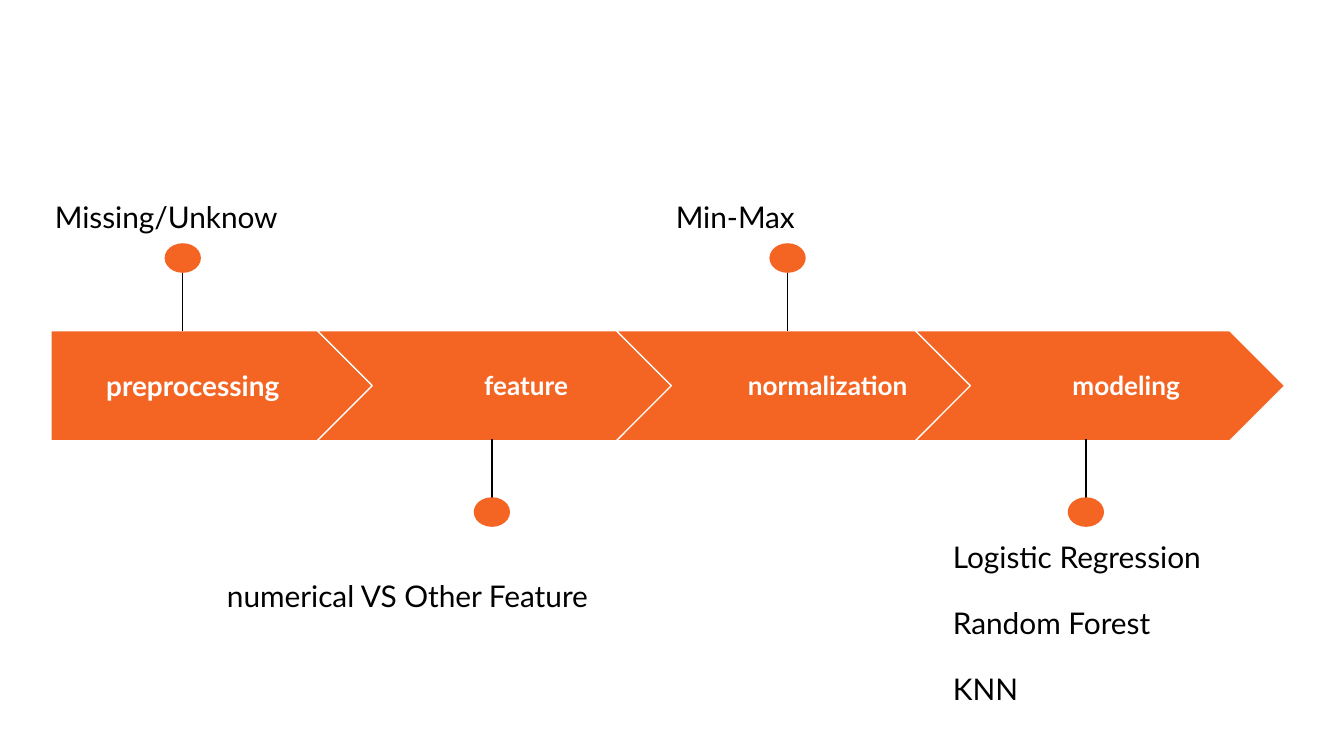
from dataclasses import dataclass

import pptx
import pptx.dml.color
import pptx.enum.shapes
import pptx.enum.text
import pptx.oxml.ns
import pptx.util
from lxml import etree

Inches = pptx.util.Inches
Pt = pptx.util.Pt
RGB = pptx.dml.color.RGBColor
Shape = pptx.enum.shapes.MSO_SHAPE
Align = pptx.enum.text.PP_ALIGN
Anchor = pptx.enum.text.MSO_ANCHOR


@dataclass(frozen=True)
class Theme:
    accent: RGB = RGB(0xF4, 0x65, 0x24)
    light: RGB = RGB(0xFF, 0xFF, 0xFF)
    dark: RGB = RGB(0, 0, 0)
    font: str = "Lato"
    note_size: int = 16
    line_width: float = 0.75


@dataclass(frozen=True)
class Step:
    name: str
    name_size: int
    name_left: float
    name_width: float
    pin_x: float
    pin_above: bool
    notes: tuple[str, ...]
    note_left: float
    note_top: float
    note_spacing: float = 1.15


THEME = Theme()
SLIDE_WIDTH = 10
SLIDE_HEIGHT = SLIDE_WIDTH * 9 / 16
BAND_TOP, BAND_HEIGHT = 2.46, 0.82
UPPER_STEM_END, LOWER_STEM_END = 2.46, 3.27
FIRST_LEFT, FIRST_WIDTH = 0.38, 2.51
CHEVRON_LEFT, CHEVRON_WIDTH = 2.36, 2.75
CHEVRON_PITCH = (6.81 - CHEVRON_LEFT) / 2
NAME_TOP, NAME_HEIGHT = 2.61, 0.51
NOTE_WIDTH, NOTE_HEIGHT = 3.01, 0.99
DOT_WIDTH, DOT_HEIGHT = 0.27, 0.22
UPPER_DOT_TOP, LOWER_DOT_TOP = 1.81, 3.7

STEPS = (
    Step("preprocessing", 15, 0.38, 2.11, 1.36, True,
         ("Missing/Unknow",), 0.31, 1.34),
    Step("feature", 14, 2.78, 2.27, 3.66, False,
         ("numerical VS Other Feature",), 1.59, 4.16),
    Step("normalization", 14, 4.98, 2.36, 5.86, True,
         ("Min-Max",), 4.93, 1.34),
    Step("modeling", 14, 7.2, 2.36, 8.08, False,
         ("Logistic Regression", "Random Forest", "KNN"), 6.99, 3.91, 1.0),
)


def apply(target, formats: dict) -> None:
    for attribute, value in formats.items():
        setattr(target, attribute, value)


def write(frame, lines: tuple[str, ...], size: int, color: RGB,
          bold: bool, anchor, paragraph_format: dict) -> None:
    inset = Inches(0.1)
    apply(frame, {
        "word_wrap": True, "auto_size": pptx.enum.text.MSO_AUTO_SIZE.NONE,
        "vertical_anchor": anchor, "margin_left": inset,
        "margin_right": inset, "margin_top": inset, "margin_bottom": inset,
    })
    for index, line in enumerate(lines):
        paragraph = frame.paragraphs[0] if index == 0 else frame.add_paragraph()
        apply(paragraph, paragraph_format)
        paragraph.space_before = Pt(THEME.note_size if index else 0)
        run = paragraph.add_run()
        run.text = line
        apply(run.font, {"name": THEME.font, "size": Pt(size), "bold": bold})
        run.font.color.rgb = color


def draw_arrow(slide, index: int) -> None:
    if index == 0:
        kind, left, width = Shape.PENTAGON, FIRST_LEFT, FIRST_WIDTH
    else:
        kind, width = Shape.CHEVRON, CHEVRON_WIDTH
        left = CHEVRON_LEFT + (index - 1) * CHEVRON_PITCH
    arrow = slide.shapes.add_shape(
        kind, Inches(left), Inches(BAND_TOP), Inches(width), Inches(BAND_HEIGHT))
    arrow.shadow.inherit = False
    arrow.fill.solid()
    arrow.fill.fore_color.rgb = THEME.accent
    arrow.line.color.rgb = THEME.light
    arrow.line.width = Pt(THEME.line_width)


def draw_name(slide, step: Step) -> None:
    name = slide.shapes.add_textbox(
        Inches(step.name_left), Inches(NAME_TOP),
        Inches(step.name_width), Inches(NAME_HEIGHT))
    write(name.text_frame, (step.name,), step.name_size, THEME.light, True,
          Anchor.MIDDLE, {"alignment": Align.CENTER})


def draw_pin(slide, step: Step) -> None:
    if step.pin_above:
        dot_top, stem_end = UPPER_DOT_TOP, UPPER_STEM_END
        stem_start = dot_top + 0.04
    else:
        dot_top, stem_end = LOWER_DOT_TOP, LOWER_STEM_END
        stem_start = dot_top + DOT_HEIGHT - 0.05
    stem = slide.shapes.add_connector(
        pptx.enum.shapes.MSO_CONNECTOR.STRAIGHT,
        Inches(step.pin_x), Inches(stem_start),
        Inches(step.pin_x), Inches(stem_end))
    stem.line.color.rgb = THEME.dark
    stem.line.width = Pt(THEME.line_width)
    etree.SubElement(stem._element.spPr, pptx.oxml.ns.qn("a:effectLst"))

    dot = slide.shapes.add_shape(
        Shape.OVAL, Inches(step.pin_x - DOT_WIDTH / 2), Inches(dot_top),
        Inches(DOT_WIDTH), Inches(DOT_HEIGHT))
    dot.shadow.inherit = False
    dot.fill.solid()
    dot.fill.fore_color.rgb = THEME.accent
    dot.line.fill.background()


def draw_notes(slide, step: Step, list_body) -> None:
    box = (Inches(step.note_left), Inches(step.note_top),
           Inches(NOTE_WIDTH), Inches(NOTE_HEIGHT))
    is_list = len(step.notes) > 1
    if is_list:
        note = list_body
        apply(note, dict(zip(("left", "top", "width", "height"), box)))
    else:
        note = slide.shapes.add_textbox(*box)
    write(note.text_frame, step.notes, THEME.note_size, THEME.dark, False,
          Anchor.TOP, {"alignment": Align.LEFT, "line_spacing": step.note_spacing})
    if is_list:
        # The list shows no bullets and no hanging indent
        for paragraph in note.text_frame.paragraphs:
            properties = paragraph._p.get_or_add_pPr()
            properties.set("marL", "0")
            properties.set("indent", "0")
            etree.SubElement(properties, pptx.oxml.ns.qn("a:buNone"))


def main() -> None:
    deck = pptx.Presentation()
    apply(deck, {"slide_width": Inches(SLIDE_WIDTH),
                 "slide_height": Inches(SLIDE_HEIGHT)})
    slide = deck.slides.add_slide(deck.slide_layouts[1])
    models_body = slide.placeholders[1]

    # The slide has no title
    title = slide.shapes.title._element
    title.getparent().remove(title)

    # Process band with a pinned note for each step
    for index, step in enumerate(STEPS):
        draw_arrow(slide, index)
        draw_name(slide, step)
        draw_pin(slide, step)
        draw_notes(slide, step, models_body)

    deck.save("out.pptx")


if __name__ == "__main__":
    main()
